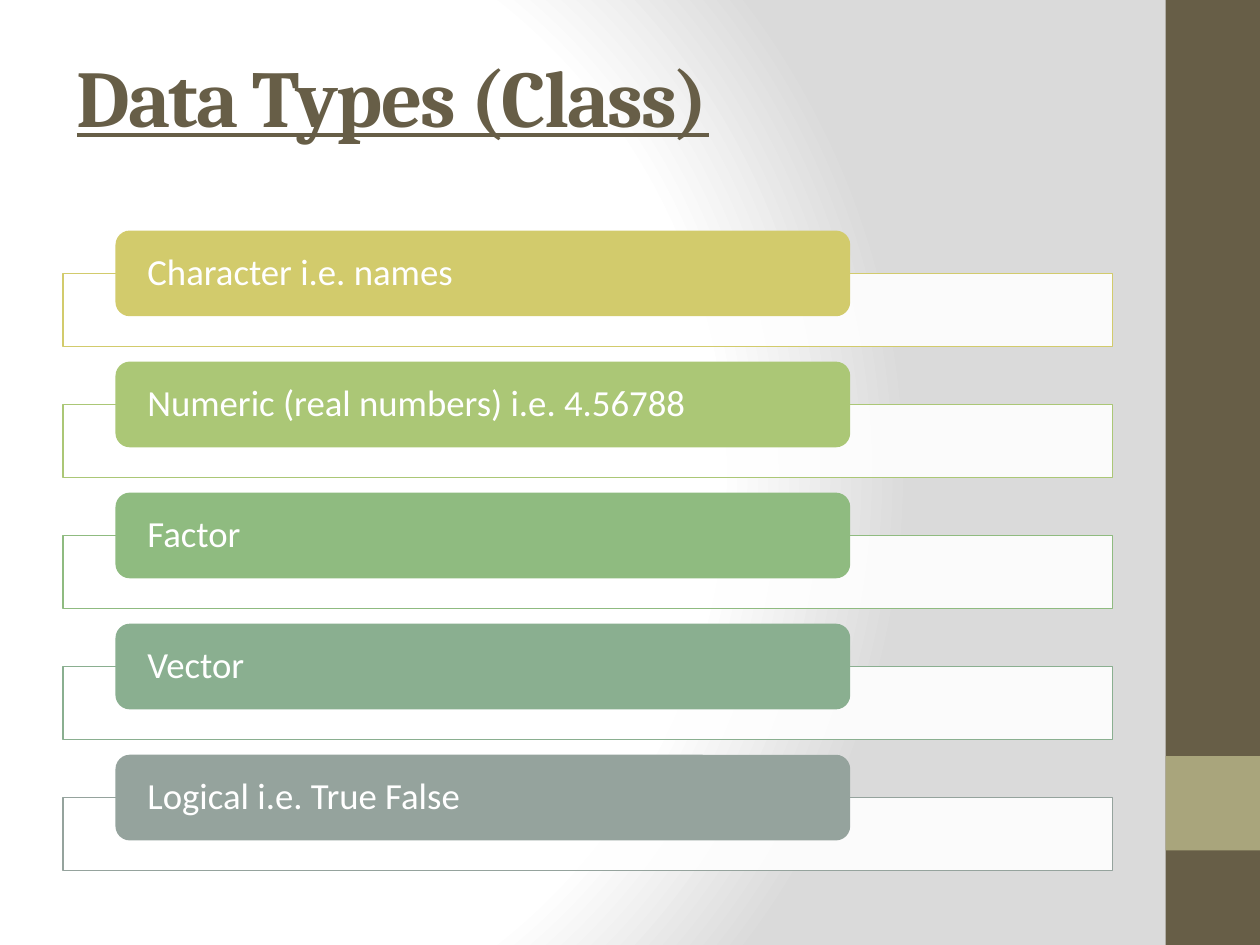
from pptx import Presentation
from pptx.dml.color import RGBColor
from pptx.enum.shapes import MSO_SHAPE
from pptx.enum.text import MSO_ANCHOR, MSO_AUTO_SIZE, PP_ALIGN
from pptx.oxml import parse_xml
from pptx.oxml.ns import qn
from pptx.util import Inches, Pt
from lxml import etree

RECTANGLE, ROUNDED = MSO_SHAPE.RECTANGLE, MSO_SHAPE.ROUNDED_RECTANGLE
MIDDLE, LEFT, NO_AUTOFIT = MSO_ANCHOR.MIDDLE, PP_ALIGN.LEFT, MSO_AUTO_SIZE.NONE

COLORS = {
    "white": "FFFFFF", "backdrop": "DADADA", "brown": "675E47", "khaki": "A9A57C",
    "character": "D2CB6C", "numeric": "ABC776", "factor": "8FBB80",
    "vector": "8AAF90", "logical": "95A39D",
}
DATA_TYPES = [
    ("Character i.e. names", "character"),
    ("Numeric (real numbers) i.e. 4.56788", "numeric"),
    ("Factor", "factor"),
    ("Vector", "vector"),
    ("Logical i.e. True False", "logical"),
]


def rgb(name):
    """Return the named palette colour."""
    return RGBColor.from_string(COLORS[name])


def add_block(slide, kind, box, fill, outline=None):
    """Add a flat shape in a box of inches and return it."""
    block = slide.shapes.add_shape(kind, *(Inches(length) for length in box))
    block.shadow.inherit = False
    block.fill.solid()
    block.fill.fore_color.rgb = rgb(fill)
    if outline:
        block.line.color.rgb = rgb(outline)
        block.line.width = Pt(1)
    else:
        block.line.fill.background()
    return block


def style_run(run, font_name, size, color):
    """Set the typeface, size and colour of a run."""
    run.font.name = font_name
    run.font.size = Pt(size)
    run.font.color.rgb = rgb(color)


def set_backdrop(slide):
    """Give the slide its circular gradient background."""
    stops = "".join(
        f'<a:gs pos="{percent * 1000}"><a:srgbClr val="{COLORS[color]}"/></a:gs>'
        for percent, color in ((0, "white"), (75, "white"), (100, "backdrop"))
    )
    backdrop = parse_xml(
        '<p:bg xmlns:p="http://schemas.openxmlformats.org/presentationml/2006/main"'
        ' xmlns:a="http://schemas.openxmlformats.org/drawingml/2006/main">'
        f'<p:bgPr><a:gradFill rotWithShape="1"><a:gsLst>{stops}</a:gsLst>'
        '<a:path path="circle"><a:fillToRect l="20000" t="50000" r="100000" b="50000"/>'
        '</a:path></a:gradFill><a:effectLst/></p:bgPr></p:bg>'
    )
    slide.element.cSld.insert(0, backdrop)


def add_sidebar(slide, left, top, width, height):
    """Draw the side band with its square accent."""
    add_block(slide, RECTANGLE, (left, top, width, height), "brown")
    accent_top = top + height - 2 * width
    add_block(slide, RECTANGLE, (left, accent_top, width, width), "khaki")


def set_title(slide, text, left, top, width, height):
    """Place and format the slide title."""
    title = slide.shapes.title
    title.left, title.top = Inches(left), Inches(top)
    title.width, title.height = Inches(width), Inches(height)
    frame = title.text_frame
    frame.text = text
    frame.auto_size = NO_AUTOFIT
    frame.vertical_anchor = MIDDLE
    heading = frame.paragraphs[0]
    heading.alignment = LEFT
    run = heading.runs[0]
    style_run(run, "Cambria", 46, "brown")
    run.font.bold = run.font.underline = True
    run.font._element.set("spc", "-100")


def add_data_type(slide, text, color, left, top, width):
    """Draw one data type: an outlined panel overlapped by its label."""
    panel = add_block(slide, RECTANGLE, (left, top + 0.34, width, 0.58), "white", color)
    panel_color = panel.fill._xPr.find(qn("a:solidFill"))[0]
    etree.SubElement(panel_color, qn("a:alpha")).set("val", "90000")

    label_box = (left + width * 0.05, top, width * 0.7, 0.68)
    label = add_block(slide, ROUNDED, label_box, color)
    frame = label.text_frame
    frame.word_wrap = True
    frame.vertical_anchor = MIDDLE
    frame.margin_left = frame.margin_right = Inches(0.22)
    frame.margin_top = frame.margin_bottom = 0
    frame.text = text
    paragraph = frame.paragraphs[0]
    paragraph.alignment = LEFT
    paragraph.line_spacing = 0.9
    style_run(paragraph.runs[0], "Calibri", 21, "white")


def add_data_types(slide, left, top, width, pitch):
    """Stack the data types at an equal pitch."""
    for row, (text, color) in enumerate(DATA_TYPES):
        add_data_type(slide, text, color, left, top + row * pitch, width)


def main():
    """Build and save the slide."""
    deck = Presentation()
    deck.slide_width, deck.slide_height = Inches(10), Inches(7.5)
    slide = deck.slides.add_slide(deck.slide_layouts[5])
    set_backdrop(slide)
    add_sidebar(slide, 9.25, 0, 0.75, 7.5)
    set_title(slide, "Data Types (Class)", 0.51, 0.13, 9, 1.25)
    add_data_types(slide, 0.5, 1.83, 8.33, 1.04)
    deck.save("out.pptx")


if __name__ == "__main__":
    main()
